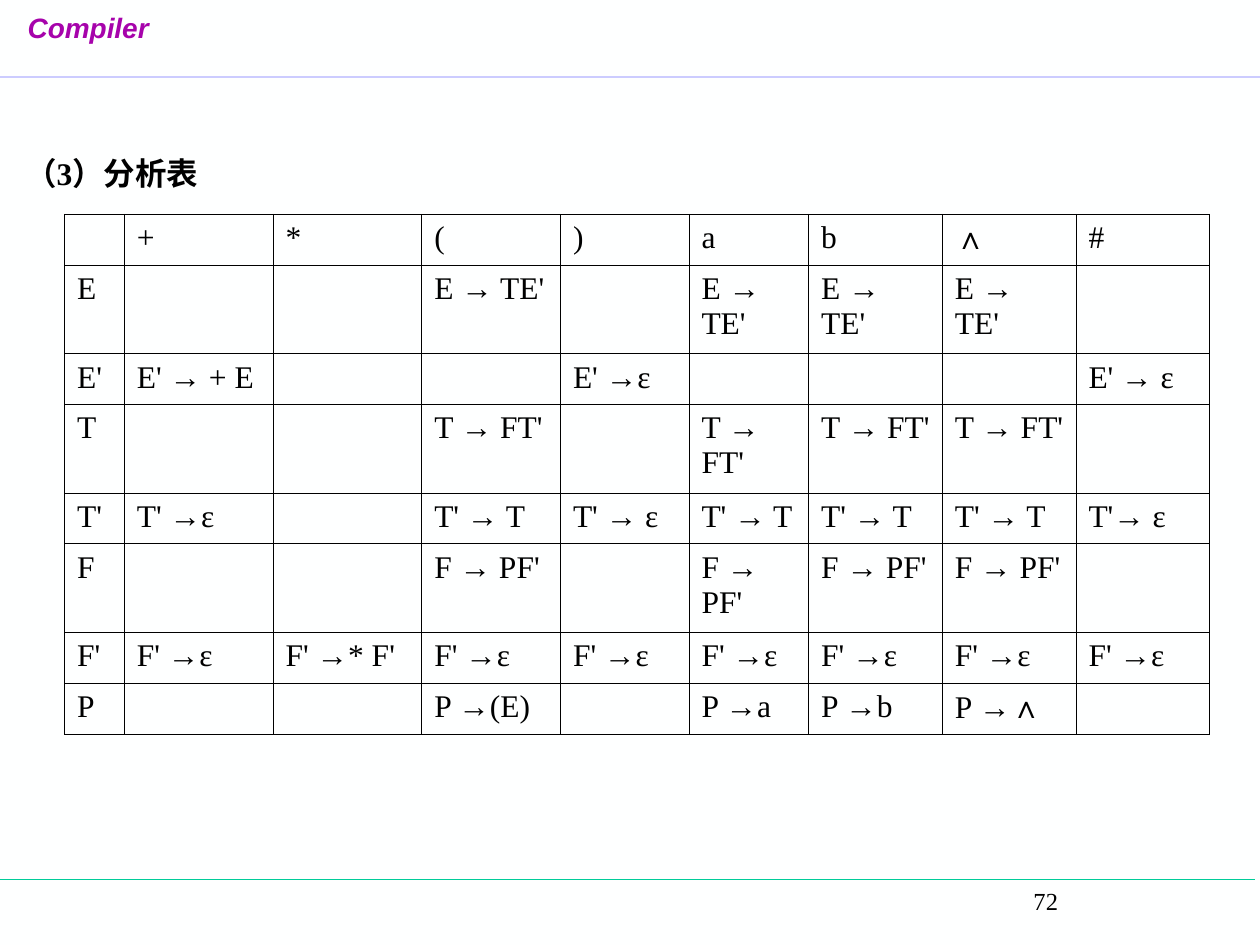
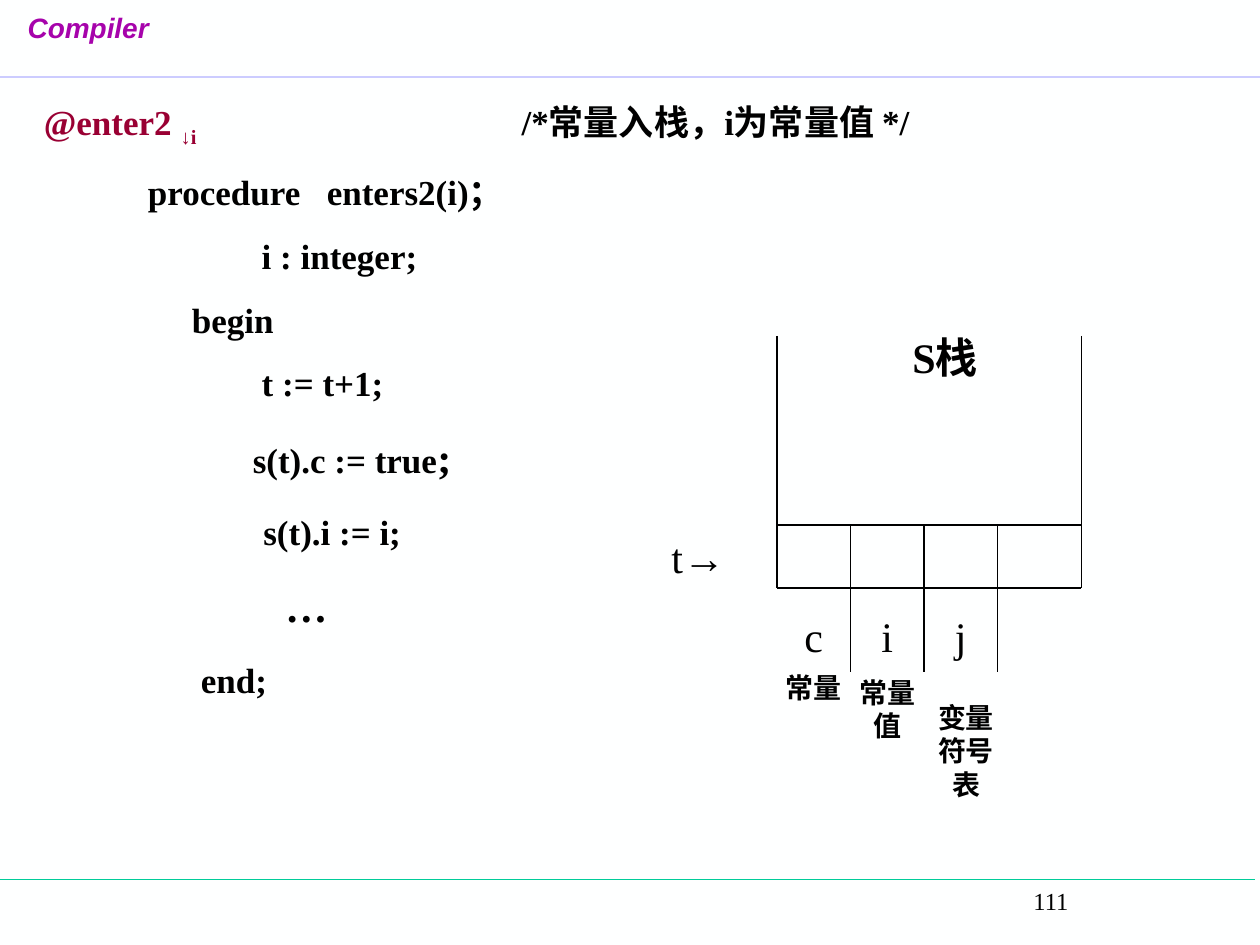
"""Build two compiler-course slides: an LL(1) parsing table and a stack action."""
from dataclasses import dataclass, field
from typing import Any

from lxml.etree import SubElement
from pptx import Presentation
from pptx.dml.color import RGBColor
from pptx.enum.shapes import MSO_CONNECTOR as Connector
from pptx.enum.text import MSO_ANCHOR as Anchor, PP_ALIGN as Align
from pptx.oxml.ns import qn
from pptx.util import Emu, Pt

PAPER = RGBColor(0xFE, 0xFF, 0xFF)
BLACK = RGBColor(0, 0, 0)
PURPLE = RGBColor(0xA6, 0x03, 0xAB)
LAVENDER = RGBColor(0xCC, 0xCC, 0xFF)
GREEN = RGBColor(0, 0xCC, 0x99)
CRIMSON = RGBColor(0x99, 0, 0x33)

COLUMNS, ROWS = 120, 90
UNIT = 76200
SERIF, SANS = "Times New Roman", "Arial"

BODY = {"name": SERIF, "size": Pt(18), "bold": False, "italic": False}
HEADING = BODY | {"bold": True}
COURSE = {"name": SANS, "size": Pt(16), "bold": True, "italic": True}
PAGE = BODY | {"size": Pt(14)}
CODE = HEADING | {"size": Pt(20)}
LARGE_CODE = HEADING | {"size": Pt(24)}
FIELD = BODY | {"size": Pt(24)}
MEANING = HEADING | {"size": Pt(16)}


@dataclass(frozen=True)
class Span:
    text: str
    style: dict[str, Any]
    color: RGBColor = BLACK
    baseline: int = 0


@dataclass(frozen=True)
class Line:
    spans: list[Span]
    stops: list[float] = field(default_factory=list)
    before: float = 0


@dataclass(frozen=True)
class Area:
    left: float
    top: float
    width: float
    height: float


@dataclass(frozen=True)
class Rule:
    start: tuple[float, float]
    end: tuple[float, float]
    color: RGBColor = BLACK
    weight: float = 0.72


@dataclass(frozen=True)
class Label:
    area: Area
    words: list[str]
    style: dict[str, Any]


BANDS = [
    Rule((-0.5, 83.76), (119.5, 83.76), GREEN, 1),
    Rule((0, 7.32), (COLUMNS, 7.32), LAVENDER, 1),
]

TABLE_COLUMNS = [5.7, 14.16, 14.16, 13.22, 12.24, 11.4, 12.73, 12.73, 12.73]
SHORT_ROW, TALL_ROW = 4.84, 8.44
TALL_SYMBOLS = "E", "T", "F"
PARSING_TABLE = [
    ["", "+", "*", "(", ")", "a", "b", "∧", "#"],
    ["E", "", "", "E → TE'", "", "E → TE'", "E → TE'", "E → TE'", ""],
    ["E'", "E' → + E", "", "", "E' →ε", "", "", "", "E' → ε"],
    ["T", "", "", "T → FT'", "", "T → FT'", "T → FT'", "T → FT'", ""],
    ["T'", "T' →ε", "", "T' → T", "T' → ε", "T' → T", "T' → T", "T' → T", "T'→ ε"],
    ["F", "", "", "F → PF'", "", "F → PF'", "F → PF'", "F → PF'", ""],
    ["F'", "F' →ε", "F' →* F'"] + ["F' →ε"] * 6,
    ["P", "", "", "P →(E)", "", "P →a", "P →b", "P →∧", ""],
]

PROCEDURE = [
    Line([Span("@enter2 ", CODE, CRIMSON), Span("↓i", CODE, CRIMSON, -25000),
          Span("\t/*常量入栈，i为常量值 */", CODE)], [45.5]),
    Line([Span("\tprocedure\tenters2(i)；", CODE)], [9.9, 26.95], 12.5),
    Line([Span("\ti : integer;", CODE)], [20.75], 12.5),
    Line([Span("\tbegin", CODE)], [14.1], 12.5),
    Line([Span("\tt := t+1;", CODE)], [20.75], 12.5),
    Line([Span("\ts(t).c := true", CODE), Span(";", LARGE_CODE)], [19.9], 15.5),
    Line([Span("\ts(t).i := i;", CODE)], [20.9], 16.5),
    Line([Span("\t…", LARGE_CODE)], [23], 16),
    Line([Span("\tend;", CODE)], [14.95], 16),
]

STACK_LEFT, STACK_RIGHT, STACK_TOP = 74, 103, 32
CELL_TOP, CELL_BOTTOM, DIVIDER_END = 50, 56, 64
FIELD_STEP = 7
STACK_RULES = [
    *(Rule((x, STACK_TOP), (x, CELL_BOTTOM)) for x in (STACK_LEFT, STACK_RIGHT)),
    *(Rule((STACK_LEFT, y), (STACK_RIGHT, y)) for y in (CELL_TOP, CELL_BOTTOM)),
    *(Rule((STACK_LEFT + FIELD_STEP * n, CELL_TOP),
           (STACK_LEFT + FIELD_STEP * n, DIVIDER_END)) for n in (1, 2, 3)),
]
STACK_LABELS = [
    *(Label(Area(STACK_LEFT + 1 + FIELD_STEP * n, 57, 5, 7), [name], FIELD)
      for n, name in enumerate("cij")),
    Label(Area(73, 63, 9, 5), ["常量"], MEANING),
    Label(Area(80, 65, 9, 5), ["常量", "值"], MEANING),
    Label(Area(87.5, 65, 9, 13), ["变量", "符号", "表"], MEANING),
    Label(Area(62, 49, 9, 8), ["t→"], FIELD),
    Label(Area(82, 29, 16, 10), ["S栈"], LARGE_CODE),
]


def grid(units: float) -> Emu:
    """Convert grid units to a length."""
    return Emu(round(units * UNIT))


def write_line(paragraph: Any, line: Line) -> None:
    """Fill a paragraph with tab stops and styled spans."""
    if line.stops:
        tabs = SubElement(paragraph._p.get_or_add_pPr(), qn("a:tabLst"))
        for stop in line.stops:
            SubElement(tabs, qn("a:tab"), pos=str(grid(stop)), algn="l")
    if line.before:
        paragraph.space_before = Pt(line.before)
    for span in line.spans:
        run = paragraph.add_run()
        run.text = span.text
        for key, value in span.style.items():
            setattr(run.font, key, value)
        run.font.color.rgb = span.color
        if span.baseline:
            run._r.get_or_add_rPr().set("baseline", str(span.baseline))


def add_text(slide: Any, area: Area, lines: list[Line],
             align: Align = Align.LEFT, anchor: Anchor = Anchor.TOP) -> None:
    """Place a text box holding the given lines."""
    frame = slide.shapes.add_textbox(
        grid(area.left), grid(area.top), grid(area.width), grid(area.height)).text_frame
    frame.word_wrap = True
    frame.vertical_anchor = anchor
    for index, line in enumerate(lines):
        paragraph = frame.add_paragraph() if index else frame.paragraphs[0]
        paragraph.alignment = align
        write_line(paragraph, line)


def add_rule(slide: Any, rule: Rule) -> None:
    """Draw one straight rule without a shadow."""
    connector = slide.shapes.add_connector(
        Connector.STRAIGHT, *map(grid, rule.start + rule.end))
    connector.line.color.rgb = rule.color
    connector.line.width = Pt(rule.weight)
    SubElement(connector._element.spPr, qn("a:effectLst"))


def add_label(slide: Any, label: Label) -> None:
    """Place centred words, one to a line."""
    lines = [Line([Span(word, label.style)]) for word in label.words]
    add_text(slide, label.area, lines, Align.CENTER, Anchor.MIDDLE)


def add_base_slide(deck: Any, page: int) -> Any:
    """Add a slide with the course name, bands and page number."""
    slide = deck.slides.add_slide(deck.slide_layouts[6])
    slide.background.fill.solid()
    slide.background.fill.fore_color.rgb = PAPER
    for band in BANDS:
        add_rule(slide, band)
    add_text(slide, Area(1.46, 0.4, 15, 6.72), [Line([Span("Compiler", COURSE, PURPLE)])])
    add_text(slide, Area(97.25, 83.76, 22.25, 6), [Line([Span(str(page), PAGE)])])
    return slide


def border_cell(cell: Any) -> None:
    """Give a cell thin black borders and no fill."""
    properties = cell._tc.get_or_add_tcPr()
    for side in ("lnL", "lnR", "lnT", "lnB"):
        edge = SubElement(properties, qn(f"a:{side}"), w=str(Pt(0.45)))
        paint = SubElement(edge, qn("a:solidFill"))
        SubElement(paint, qn("a:srgbClr"), val=str(BLACK))
    cell.fill.background()


def add_parsing_table(slide: Any) -> None:
    """Draw the parsing table."""
    heights = [TALL_ROW if row[0] in TALL_SYMBOLS else SHORT_ROW for row in PARSING_TABLE]
    table = slide.shapes.add_table(
        len(heights), len(TABLE_COLUMNS), grid(6.14), grid(20.4),
        grid(sum(TABLE_COLUMNS)), grid(sum(heights))).table
    table.first_row = table.horz_banding = False
    for column, width in zip(table.columns, TABLE_COLUMNS):
        column.width = grid(width)
    for row, height, entries in zip(table.rows, heights, PARSING_TABLE):
        row.height = grid(height)
        for cell, entry in zip(row.cells, entries):
            border_cell(cell)
            production, wedge, _ = entry.partition("∧")
            parts = [Span(production, BODY), Span(wedge, BODY | {"name": SANS})]
            write_line(cell.text_frame.paragraphs[0],
                       Line([part for part in parts if part.text]))


def add_table_slide(deck: Any) -> None:
    """Build the parsing table slide."""
    slide = add_base_slide(deck, 72)
    add_parsing_table(slide)
    add_text(slide, Area(1.2, 14.1, 31.44, 4.8),
             [Line([Span("（3）分析表", HEADING)])])


def add_stack_slide(deck: Any) -> None:
    """Build the slide with the procedure and its stack."""
    slide = add_base_slide(deck, 111)
    add_text(slide, Area(3, 9, 89, 58.44), PROCEDURE)
    for rule in STACK_RULES:
        add_rule(slide, rule)
    for label in STACK_LABELS:
        add_label(slide, label)


def main() -> None:
    """Build and save the deck."""
    deck = Presentation()
    deck.slide_width, deck.slide_height = grid(COLUMNS), grid(ROWS)
    add_table_slide(deck)
    add_stack_slide(deck)
    deck.save("out.pptx")


if __name__ == "__main__":
    main()
